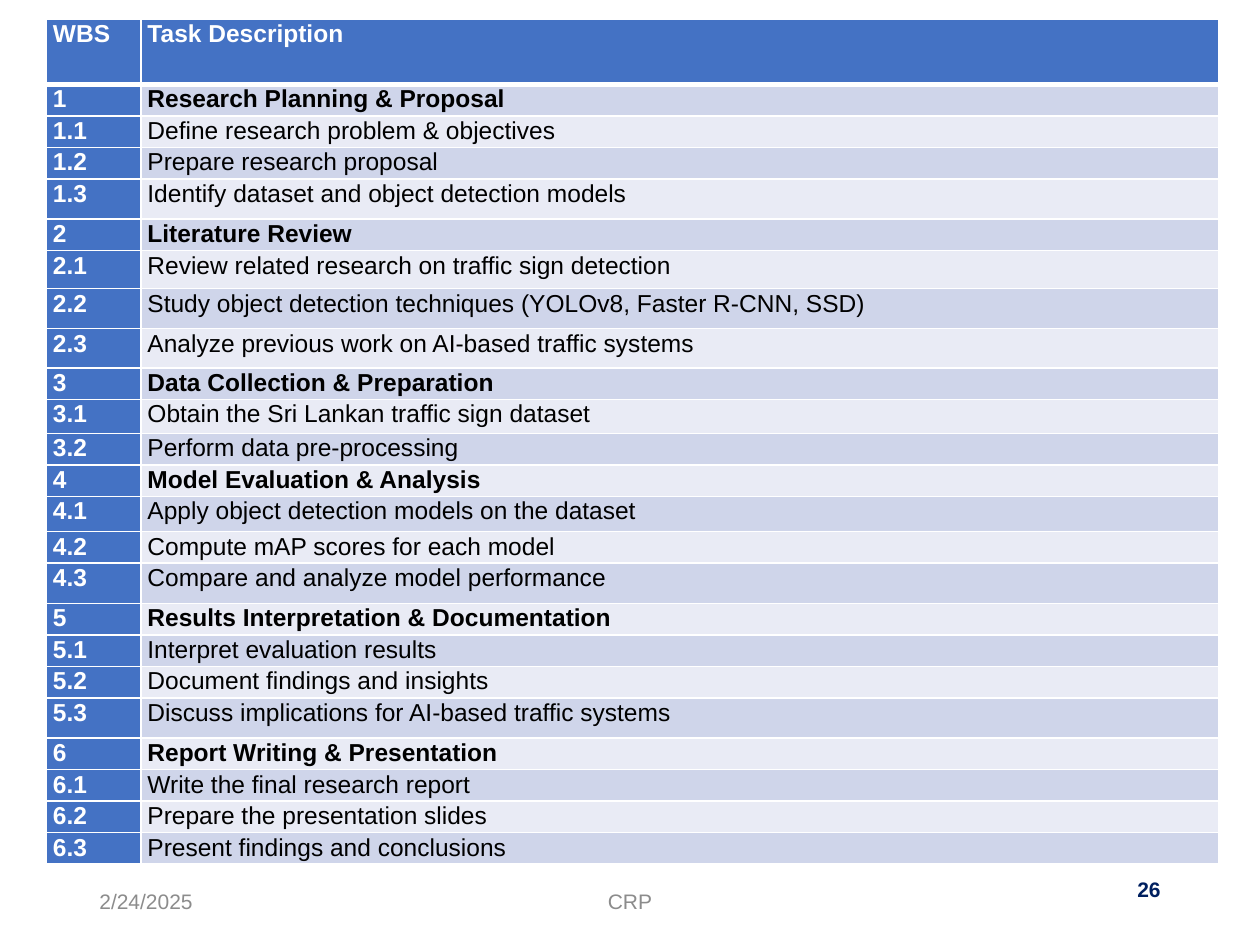
from lxml.etree import SubElement
from pptx import Presentation
from pptx.dml.color import RGBColor
from pptx.enum.text import MSO_ANCHOR, PP_ALIGN
from pptx.oxml.ns import qn
from pptx.util import Inches, Pt

WHITE, BLACK, BLUE = "FFFFFF", "000000", "4472C4"
GRAY, NAVY = "8C8C8C", "002060"
BANDS = ["CFD5EA", "E9EBF5"]
COLUMN_WIDTHS = [0.75, 8.55]
HEADER_HEIGHT, ROW_HEIGHT = 0.52, 0.25
TALL_ROWS = {"1.3": 0.32, "2.1": 0.3, "2.2": 0.32, "2.3": 0.31,
             "3.1": 0.27, "4.1": 0.28, "4.3": 0.32, "5.3": 0.32}
LINE_SPACING = 1.05

HEADER = ("WBS", "Task Description")
PHASES = [
    ("Research Planning & Proposal", [
        "Define research problem & objectives",
        "Prepare research proposal",
        "Identify dataset and object detection models"]),
    ("Literature Review", [
        "Review related research on traffic sign detection",
        "Study object detection techniques (YOLOv8, Faster R-CNN, SSD)",
        "Analyze previous work on AI-based traffic systems"]),
    ("Data Collection & Preparation", [
        "Obtain the Sri Lankan traffic sign dataset",
        "Perform data pre-processing"]),
    ("Model Evaluation & Analysis", [
        "Apply object detection models on the dataset",
        "Compute mAP scores for each model",
        "Compare and analyze model performance"]),
    ("Results Interpretation & Documentation", [
        "Interpret evaluation results",
        "Document findings and insights",
        "Discuss implications for AI-based traffic systems"]),
    ("Report Writing & Presentation", [
        "Write the final research report",
        "Prepare the presentation slides",
        "Present findings and conclusions"]),
]
FOOTERS = [
    ("2/24/2025", (0.69, 6.95, 2.25, 0.4), GRAY, False, PP_ALIGN.LEFT),
    ("CRP", (3.31, 6.95, 3.38, 0.4), GRAY, False, PP_ALIGN.CENTER),
    ("26", (7.06, 6.76, 2.25, 0.6), NAVY, True, PP_ALIGN.RIGHT),
]


def color(value):
    return RGBColor.from_string(value)


def write(text_frame, text, size=14, fill=BLACK, bold=False,
          align=PP_ALIGN.LEFT, spacing=None):
    paragraph = text_frame.paragraphs[0]
    paragraph.alignment = align
    paragraph.line_spacing = spacing
    run = paragraph.add_run()
    run.text = text
    run.font.name = "Arial"
    run.font.size = Pt(size)
    run.font.bold = bold
    run.font.color.rgb = color(fill)


def add_borders(cell, top=1, bottom=1):
    properties = cell._tc.get_or_add_tcPr()
    for side, width in (("L", 1), ("R", 1), ("T", top), ("B", bottom)):
        line = SubElement(properties, qn(f"a:ln{side}"), w=str(Pt(width)))
        fill = SubElement(line, qn("a:solidFill"))
        SubElement(fill, qn("a:srgbClr"), val=WHITE)


def task_rows():
    rows = [HEADER]
    for number, (phase, tasks) in enumerate(PHASES, 1):
        rows.append((str(number), phase))
        rows += [(f"{number}.{index}", task) for index, task in enumerate(tasks, 1)]
    return rows


def add_task_table(slide):
    rows = task_rows()
    heights = [HEADER_HEIGHT] + [TALL_ROWS.get(code, ROW_HEIGHT) for code, _ in rows[1:]]
    table = slide.shapes.add_table(
        len(rows), 2, Inches(0.37), Inches(0.15),
        Inches(sum(COLUMN_WIDTHS)), Inches(sum(heights))).table
    for column, width in zip(table.columns, COLUMN_WIDTHS):
        column.width = Inches(width)
    for row_index, (values, height) in enumerate(zip(rows, heights)):
        table.rows[row_index].height = Inches(height)
        is_header = row_index == 0
        is_phase = "." not in values[0]
        for column_index, text in enumerate(values):
            cell = table.cell(row_index, column_index)
            accent = is_header or column_index == 0
            cell.margin_left = cell.margin_right = Inches(0.05)
            cell.margin_top = cell.margin_bottom = 0
            add_borders(cell, top=3 if row_index == 1 else 1,
                        bottom=3 if is_header else 1)
            cell.fill.solid()
            cell.fill.fore_color.rgb = color(BLUE if accent else BANDS[(row_index - 1) % 2])
            write(cell.text_frame, text, fill=WHITE if accent else BLACK,
                  bold=accent or is_phase, spacing=LINE_SPACING)


def add_footers(slide):
    for text, position, fill, bold, align in FOOTERS:
        text_frame = slide.shapes.add_textbox(*map(Inches, position)).text_frame
        text_frame.word_wrap = True
        text_frame.vertical_anchor = MSO_ANCHOR.MIDDLE
        write(text_frame, text, size=12, fill=fill, bold=bold, align=align)


def main():
    presentation = Presentation()
    presentation.slide_width = Inches(10)
    presentation.slide_height = Inches(7.5)
    slide = presentation.slides.add_slide(presentation.slide_layouts[6])
    add_footers(slide)
    add_task_table(slide)
    presentation.save("out.pptx")


if __name__ == "__main__":
    main()
